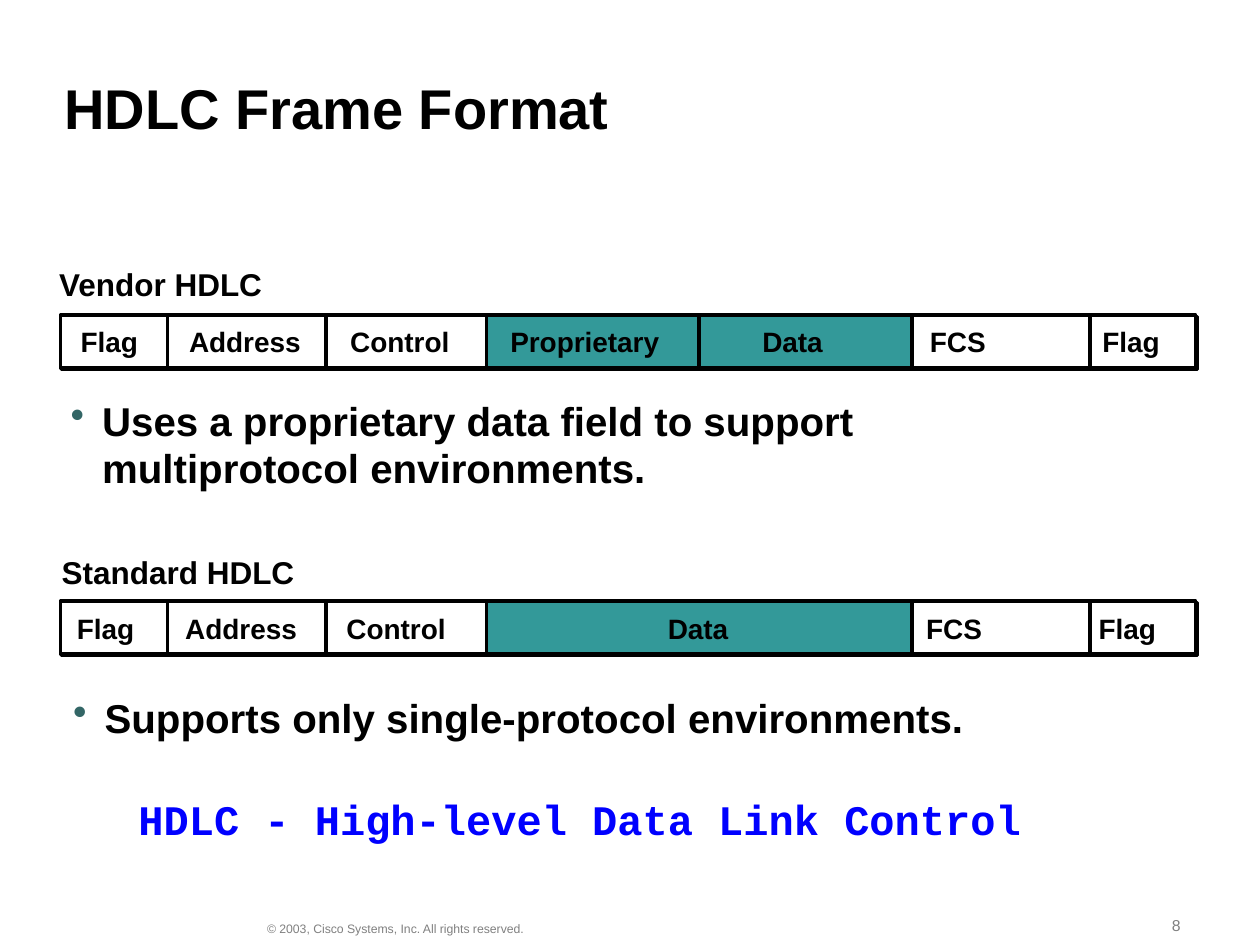
from dataclasses import dataclass

from lxml.etree import SubElement
from pptx import Presentation
from pptx.dml.color import RGBColor
from pptx.enum.shapes import MSO_SHAPE
from pptx.enum.text import MSO_ANCHOR
from pptx.oxml.ns import qn
from pptx.slide import Slide
from pptx.util import Inches, Pt

BLACK = "000000"
WHITE = "FFFFFF"
TEAL = "339999"
GRAY = "808080"
START = 0.48


@dataclass
class Field:
    name: str
    width: float
    text_x: float
    text_w: float
    fill: str = WHITE


@dataclass
class Frame:
    title: str
    title_x: float
    title_y: float
    top: float
    text_y: float
    pad: tuple[float, float]
    fields: list[Field]


def color(code: str) -> RGBColor:
    return RGBColor.from_string(code)


def bullet(para, code: str) -> None:
    props = para._p.get_or_add_pPr()
    props.set("marL", str(Inches(0.25)))
    props.set("indent", str(Inches(-0.25)))
    tint = SubElement(props, qn("a:buClr"))
    SubElement(tint, qn("a:srgbClr"), val=code)
    SubElement(props, qn("a:buChar"), char="•")


def write(slide: Slide, text: str, x: float, y: float, w: float, h: float, *,
          size: float, font: str = "Arial", fill: str = BLACK, bold: bool = True,
          pad: tuple[float, float] = (0.02, 0.03), anchor=MSO_ANCHOR.TOP,
          space=None, dot: str = "") -> None:
    box = slide.shapes.add_textbox(Inches(x), Inches(y), Inches(w), Inches(h))
    frame = box.text_frame
    frame.word_wrap = True
    frame.vertical_anchor = anchor
    frame.margin_left = frame.margin_right = Inches(pad[0])
    frame.margin_top = frame.margin_bottom = Inches(pad[1])
    para = frame.paragraphs[0]
    para.text = text
    if dot:
        bullet(para, dot)
    para.line_spacing = space
    for run in para.runs:
        run.font.name = font
        run.font.size = Pt(size)
        run.font.bold = bold
        run.font.color.rgb = color(fill)


def block(slide: Slide, x: float, y: float, w: float, h: float, fill: str) -> None:
    rect = slide.shapes.add_shape(
        MSO_SHAPE.RECTANGLE, Inches(x), Inches(y), Inches(w), Inches(h))
    rect.fill.solid()
    rect.fill.fore_color.rgb = color(fill)
    rect.line.color.rgb = color(BLACK)
    rect.line.width = Pt(2)
    rect.shadow.inherit = False
    effects = rect._element.spPr.find(qn("a:effectLst"))
    shade = SubElement(effects, qn("a:outerShdw"),
                       dist=str(Pt(1.4)), dir="2700000", algn="ctr", rotWithShape="0")
    SubElement(shade, qn("a:srgbClr"), val=BLACK)


def draw(slide: Slide, frame: Frame) -> None:
    write(slide, frame.title, frame.title_x, frame.title_y, 4.2, 0.48,
          size=18, space=Pt(21.4))
    left = START
    for field in frame.fields:
        block(slide, left, frame.top, field.width, 0.42, field.fill)
        write(slide, field.name, field.text_x, frame.text_y, field.text_w, 0.44,
              size=16, pad=frame.pad, space=Pt(18))
        left += field.width


def main() -> None:
    head = [
        Field("Flag", 0.85, 0.59, 0.64),
        Field("Address", 1.26, 1.45, 1.09),
        Field("Control", 1.27, 2.73, 1),
    ]
    tail = [
        Field("FCS", 1.41, 7.33, 0.69),
        Field("Flag", 0.84, 8.7, 0.66),
    ]
    vendor = [
        Field("Proprietary", 1.69, 4, 1.41, TEAL),
        Field("Data", 1.69, 6, 0.7, TEAL),
    ]
    plain = [Field("Data", 3.38, 5.28, 0.7, TEAL)]
    frames = [
        Frame("Vendor HDLC", 0.45, 2.08, 2.5, 2.52, (0.05, 0.07), head + vendor + tail),
        Frame("Standard HDLC", 0.47, 4.36, 4.77, 4.84, (0.02, 0.03), head + plain + tail),
    ]

    deck = Presentation()
    deck.slide_width = Inches(10)
    deck.slide_height = Inches(7.5)
    slide = deck.slides.add_slide(deck.slide_layouts[6])

    write(slide, "HDLC Frame Format", 0.42, 0.58, 9.42, 0.61, size=32,
          pad=(0.09, 0.04), anchor=MSO_ANCHOR.MIDDLE, space=0.9)
    for frame in frames:
        draw(slide, frame)

    points = [
        ("Uses a proprietary data field to support\nmultiprotocol environments.", 0.54, 3.12),
        ("Supports only single-protocol environments.", 0.56, 5.48),
    ]
    for text, x, y in points:
        write(slide, text, x, y, 8.72, 0.59, size=23, space=Pt(27), dot="336666")

    write(slide, "HDLC - High-level Data Link Control", 1, 6.25, 7.25, 0.5,
          size=24, font="Courier New", fill="0000FF", pad=(0.1, 0.05))

    notes = [
        ("© 2003, Cisco Systems, Inc. All rights reserved.", 2.03, 7.26, 2.4, 0.21, 7),
        ("8", 9.21, 7.22, 0.75, 0.24, 9),
    ]
    for text, x, y, w, h, size in notes:
        write(slide, text, x, y, w, h, size=size, fill=GRAY, bold=False,
              pad=(0.09, 0.04), anchor=MSO_ANCHOR.BOTTOM)

    deck.save("out.pptx")


if __name__ == "__main__":
    main()
